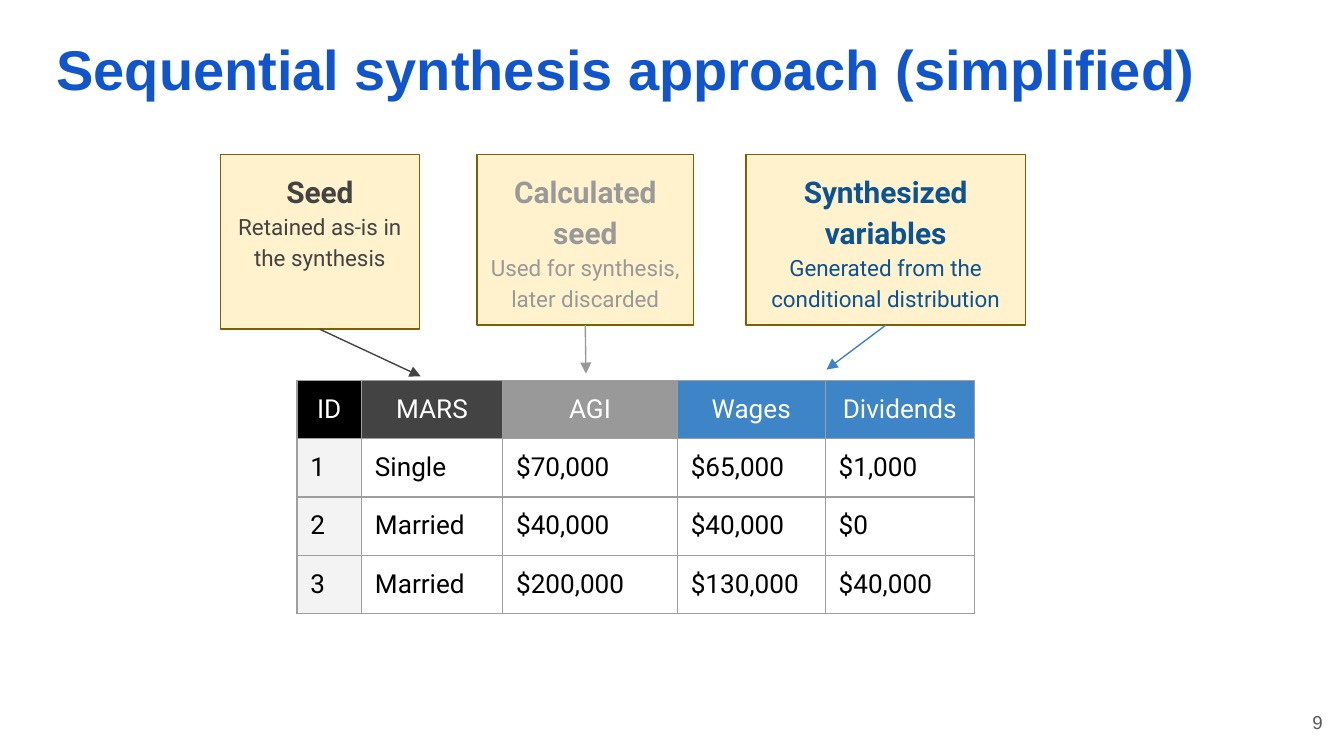
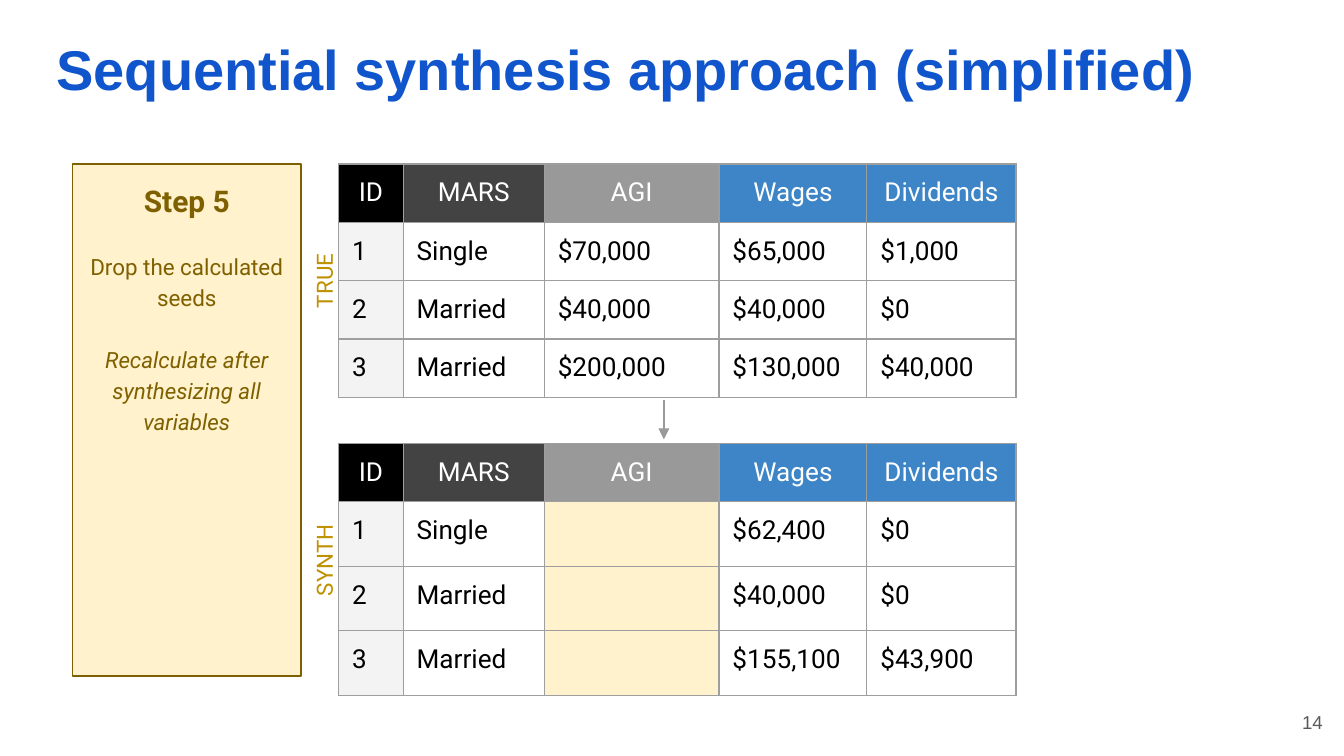
"""Build two slides on the sequential synthesis approach."""
from lxml import etree
from pptx import Presentation
from pptx.dml.color import RGBColor
from pptx.enum.shapes import MSO_CONNECTOR, MSO_SHAPE
from pptx.enum.text import MSO_ANCHOR, PP_ALIGN
from pptx.oxml.ns import qn
from pptx.util import Inches, Pt

LEFT, MID, RIGHT = PP_ALIGN.LEFT, PP_ALIGN.CENTER, PP_ALIGN.RIGHT
TOP, CENTER = MSO_ANCHOR.TOP, MSO_ANCHOR.MIDDLE
RECT, LINE = MSO_SHAPE.RECTANGLE, MSO_CONNECTOR.STRAIGHT

BLACK, WHITE, DARK, GRAY = "000000", "FFFFFF", "434343", "999999"
BLUE, NAVY, CREAM, BROWN = "3D85C6", "0B5394", "FFF2CC", "7F6000"
PALE, GOLD, EDGE, ROYAL, SLATE = "F3F3F3", "BF9000", "9E9E9E", "1155CC", "595959"

TITLE = "Sequential synthesis approach (simplified)"
HEADS = [("ID", 0.48, BLACK), ("MARS", 1.05, DARK), ("AGI", 1.3, GRAY),
         ("Wages", 1.1, BLUE), ("Dividends", 1.11, BLUE)]
TRUE = [("1", "Single", "$70,000", "$65,000", "$1,000"),
        ("2", "Married", "$40,000", "$40,000", "$0"),
        ("3", "Married", "$200,000", "$130,000", "$40,000")]
SYNTH = [("1", "Single", "", "$62,400", "$0"),
         ("2", "Married", "", "$40,000", "$0"),
         ("3", "Married", "", "$155,100", "$43,900")]

SLIDES = [
    {"page": "9",
     "grids": [(2.21, 2.83, 0.42, TRUE)],
     "cards": [
         (1.64, 1.48, 1.3, DARK, "Seed",
          [("Retained as-is in the synthesis", False, 0)], (3.13, 2.8, DARK)),
         (3.55, 1.61, 1.27, GRAY, "Calculated seed",
          [("Used for synthesis, later discarded", False, 0)], (4.36, 2.78, GRAY)),
         (5.55, 2.08, 1.27, NAVY, "Synthesized variables",
          [("Generated from the conditional distribution", False, 0)],
          (6.15, 2.75, BLUE))],
     "top": 1.15, "tags": [], "links": []},
    {"page": "14",
     "grids": [(2.52, 1.22, 0.42, TRUE), (2.52, 3.3, 0.48, SYNTH)],
     "cards": [
         (0.54, 1.7, 3.81, BROWN, "Step 5",
          [("Drop the calculated seeds", False, 16.5),
           ("Recalculate after synthesizing all variables", True, 16.5)], None)],
     "top": 1.22, "tags": [("TRUE", 1.95), ("SYNTH", 4.03)],
     "links": [(4.94, 2.98, 4.94, 3.27, GRAY)]},
]


def tint(part, color):
    """Give a fill or line format a solid colour."""
    if hasattr(part, "width"):
        part.width = Pt(0.75)
        part = part.fill
    part.solid()
    part.fore_color.rgb = RGBColor.from_string(color)


def write(frame, lines, align=LEFT, pitch=None, anchor=TOP, pad=None):
    """Fill a frame with (text, size, colour, font, bold, italic, gap) lines."""
    pad = pad or frame
    pad.margin_left = pad.margin_right = Inches(0.1)
    pad.margin_top = pad.margin_bottom = Inches(0.1)
    pad.vertical_anchor = anchor
    frame.word_wrap = True
    for i, (text, size, color, face, bold, slant, gap) in enumerate(lines):
        para = frame.add_paragraph() if i else frame.paragraphs[0]
        para.alignment = align
        if pitch:
            para.line_spacing = pitch
        if gap:
            para.space_before = Pt(gap)
        run = para.add_run()
        run.text = text
        font = run.font
        font.size, font.name, font.bold, font.italic = Pt(size), face, bold, slant
        font.color.rgb = RGBColor.from_string(color)


deck = Presentation()
deck.slide_width = Inches(10)
deck.slide_height = deck.slide_width * 9 // 16

for plan in SLIDES:
    slide = deck.slides.add_slide(deck.slide_layouts[5])
    shapes = slide.shapes
    head = shapes.title
    head.left, head.top = Inches(0.32), Inches(0.16)
    head.width, head.height = Inches(9.25), Inches(0.59)
    write(head.text_frame, [(TITLE, 30, ROYAL, "Arial", True, False, 0)])

    page = shapes.add_textbox(Inches(9.34), Inches(5.16), Inches(0.6), Inches(0.43))
    write(page.text_frame, [(plan["page"], 10, SLATE, "Arial", False, False, 0)],
          RIGHT, anchor=CENTER)

    for left, top, step, rows in plan["grids"]:
        wide = sum(width for _, width, _ in HEADS)
        frame = shapes.add_table(len(rows) + 1, len(HEADS), Inches(left), Inches(top),
                                 Inches(wide), Inches(0.42 + step * len(rows)))
        table = frame.table
        table.first_row = table.horz_banding = False
        for r, row in enumerate([[name for name, _, _ in HEADS]] + rows):
            table.rows[r].height = Inches(step if r else 0.42)
            for c, text in enumerate(row):
                table.columns[c].width = Inches(HEADS[c][1])
                cell = table.cell(r, c)
                props = cell._tc.get_or_add_tcPr()
                for side in ("a:lnL", "a:lnR", "a:lnT", "a:lnB"):
                    edge = etree.SubElement(props, qn(side), w=str(Pt(0.75)))
                    fill = etree.SubElement(edge, qn("a:solidFill"))
                    etree.SubElement(fill, qn("a:srgbClr"), val=EDGE)
                if r == 0:
                    tint(cell.fill, HEADS[c][2])
                elif c == 0:
                    tint(cell.fill, PALE)
                elif not text:
                    tint(cell.fill, CREAM)
                else:
                    cell.fill.background()
                if text:
                    color = BLACK if r else WHITE
                    write(cell.text_frame,
                          [(text, 14, color, "Roboto", False, False, 0)],
                          LEFT if r else MID, pad=cell)

    links = [(None, *link) for link in plan["links"]]
    for left, width, height, color, name, notes, goal in plan["cards"]:
        card = shapes.add_shape(RECT, Inches(left), Inches(plan["top"]),
                                Inches(width), Inches(height))
        card.shadow.inherit = False
        tint(card.fill, CREAM)
        tint(card.line, BROWN)
        lines = [(name, 16, color, "Roboto", True, False, 0)]
        lines += [(text, 12, color, "Roboto", False, slant, gap)
                  for text, slant, gap in notes]
        write(card.text_frame, lines, MID, 1.15)
        if goal:
            links.append((card, left + width / 2, plan["top"] + height, *goal))

    for card, x1, y1, x2, y2, color in links:
        arrow = shapes.add_connector(LINE, Inches(x1), Inches(y1),
                                     Inches(x2), Inches(y2))
        if card:
            arrow.begin_connect(card, 2)
        tint(arrow.line, color)
        etree.SubElement(arrow.line._get_or_add_ln(), qn("a:tailEnd"), type="triangle")
        etree.SubElement(arrow._element.spPr, qn("a:effectLst"))

    for text, top in plan["tags"]:
        tag = shapes.add_textbox(Inches(1.46), Inches(top), Inches(1.72), Inches(0.28))
        tag.rotation = 270
        write(tag.text_frame, [(text, 12, GOLD, "Roboto", False, False, 0)], MID, 1.15)

deck.save("out.pptx")
